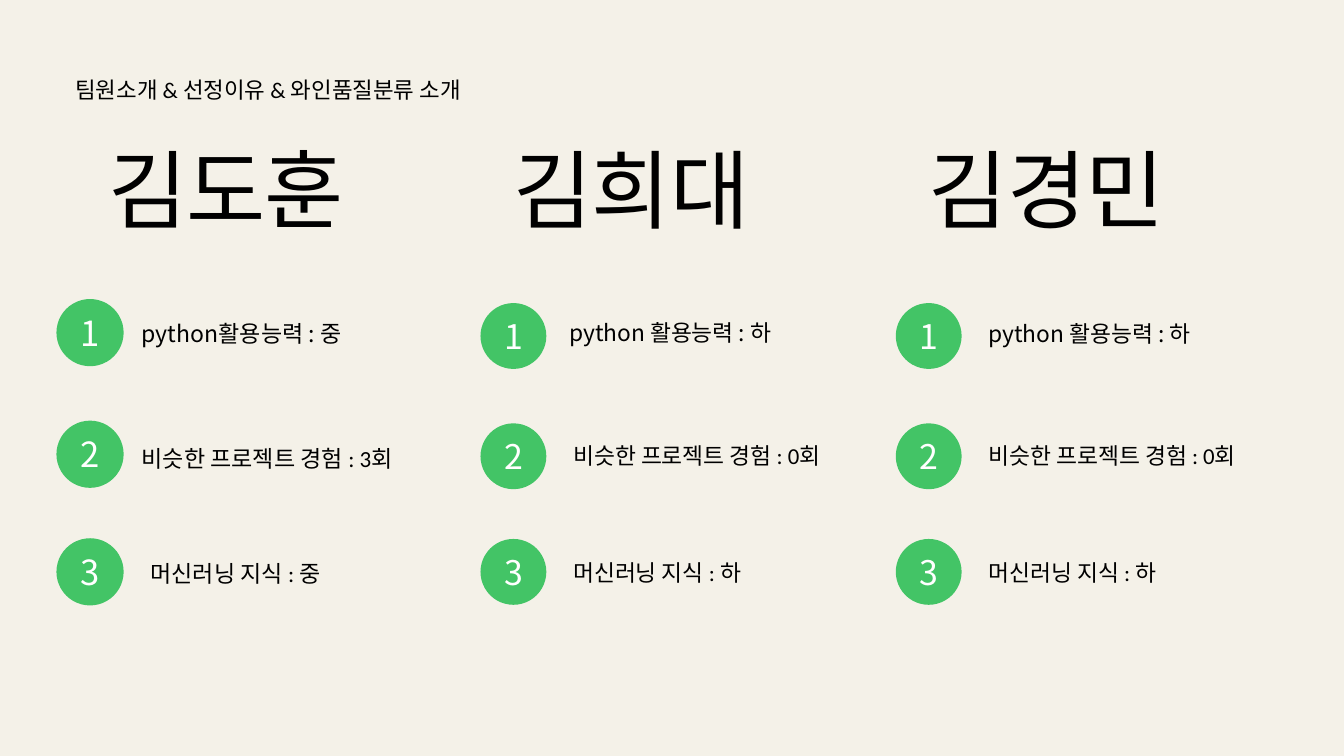
from pptx import Presentation
from pptx.dml.color import RGBColor
from pptx.enum.shapes import MSO_SHAPE
from pptx.enum.text import MSO_ANCHOR, MSO_AUTO_SIZE, PP_ALIGN
from pptx.util import Inches, Pt

OVAL = MSO_SHAPE.OVAL
TOP = MSO_ANCHOR.TOP
FIT = MSO_AUTO_SIZE.SHAPE_TO_FIT_TEXT
LEFT, CENTER = PP_ALIGN.LEFT, PP_ALIGN.CENTER

COLORS = {"paper": "F4F1E8", "ink": "000000", "disc": "43C466", "number": "FFFFFF"}
LATIN, KOREAN = "Calibri", "Noto Sans CJK KR"

# The page is a grid of square cells, 20 columns by 11.25 rows.
COLUMNS, ROWS = 20, 11.25
CELL = Inches(1)
NAME_TOP = 2.28
LABEL_WIDTHS = (4.4, 4.4, 2.85)

# left: column edge; shifts: name and label offsets from that edge
MEMBERS = [
    {"name": "김도훈", "left": 0.84, "disc": 1, "size": 24.7, "name_shift": 0.77,
     "disc_tops": (4.45, 6.26, 8.01), "label_tops": (4.69, 6.55, 8.26),
     "label_shifts": (1.27, 1.27, 1.4),
     "labels": ("python활용능력 : 중", "비슷한 프로젝트 경험 : 3회", "머신러닝 지식 : 중")},
    {"name": "김희대", "left": 7.15, "disc": 0.98, "size": 24.4, "name_shift": 0.49,
     "disc_tops": (4.51, 6.3, 8.02), "label_tops": (4.68, 6.5, 8.25),
     "label_shifts": (1.32, 1.38, 1.38),
     "labels": ("python 활용능력 : 하", "비슷한 프로젝트 경험 : 0회", "머신러닝 지식 : 하")},
    {"name": "김경민", "left": 13.33, "disc": 0.98, "size": 24.4, "name_shift": 0.49,
     "disc_tops": (4.51, 6.3, 8.02), "label_tops": (4.69, 6.5, 8.25),
     "label_shifts": (1.38, 1.38, 1.38),
     "labels": ("python 활용능력 : 하", "비슷한 프로젝트 경험 : 0회", "머신러닝 지식 : 하")},
]


def cells(*counts):
    """Turn grid counts into lengths."""
    return [int(CELL * count) for count in counts]


def color(name):
    return RGBColor.from_string(COLORS[name])


def write(box, text, *, size, leading, font=LATIN, ink="ink", align=LEFT, tracking=None):
    frame = box.text_frame
    frame.margin_left = frame.margin_right = frame.margin_top = frame.margin_bottom = 0
    frame.word_wrap = True
    frame.auto_size = FIT
    frame.vertical_anchor = TOP
    para = frame.paragraphs[0]
    para.alignment = align
    para.line_spacing = Pt(leading)
    span = para.add_run()
    span.text = text
    span.font.size = Pt(size)
    span.font.name = font
    span.font.color.rgb = color(ink)
    if tracking is not None:
        span.font._element.set("spc", str(round(tracking * 100)))


def add_title(page, text, box):
    title = page.shapes.title
    title.left, title.top, title.width, title.height = cells(*box)
    write(title, text, size=24, leading=33.6)


def add_number(page, number, left, top, side):
    """Place a numbered disc in a square box."""
    group = page.shapes.add_group_shape()
    disc = group.shapes.add_shape(OVAL, *cells(left, top, side, side))
    disc.shadow.inherit = False
    disc.fill.solid()
    disc.fill.fore_color.rgb = color("disc")
    disc.line.fill.background()
    box = group.shapes.add_textbox(
        *cells(left + 0.26 * side, top + 0.235 * side, 0.49 * side, 0.58 * side))
    write(box, str(number), size=37.1 * side, leading=40.9 * side,
          font=KOREAN, ink="number", align=CENTER)


def add_member(page, member):
    left, size = member["left"], member["size"]
    name = page.shapes.add_textbox(*cells(left + member["name_shift"], NAME_TOP, 3.94, 1.35))
    write(name, member["name"], size=92.2, leading=92.2, tracking=-0.9)
    rows = zip(member["labels"], member["disc_tops"], member["label_tops"],
               member["label_shifts"], LABEL_WIDTHS)
    for number, (text, disc_top, label_top, shift, width) in enumerate(rows, 1):
        add_number(page, number, left, disc_top, member["disc"])
        label = page.shapes.add_textbox(*cells(left + shift, label_top, width, 0.46))
        write(label, text, size=size, leading=size * 1.4,
              font=KOREAN if number == 1 else LATIN)


def main():
    deck = Presentation()
    deck.slide_width, deck.slide_height = cells(COLUMNS, ROWS)
    page = deck.slides.add_slide(deck.slide_layouts.get_by_name("Title Only"))
    page.background.fill.solid()
    page.background.fill.fore_color.rgb = color("paper")
    add_title(page, "팀원소개 & 선정이유 & 와인품질분류 소개", (1.12, 1.06, 6.46, 0.47))
    for member in MEMBERS:
        add_member(page, member)
    deck.save("out.pptx")


if __name__ == "__main__":
    main()
